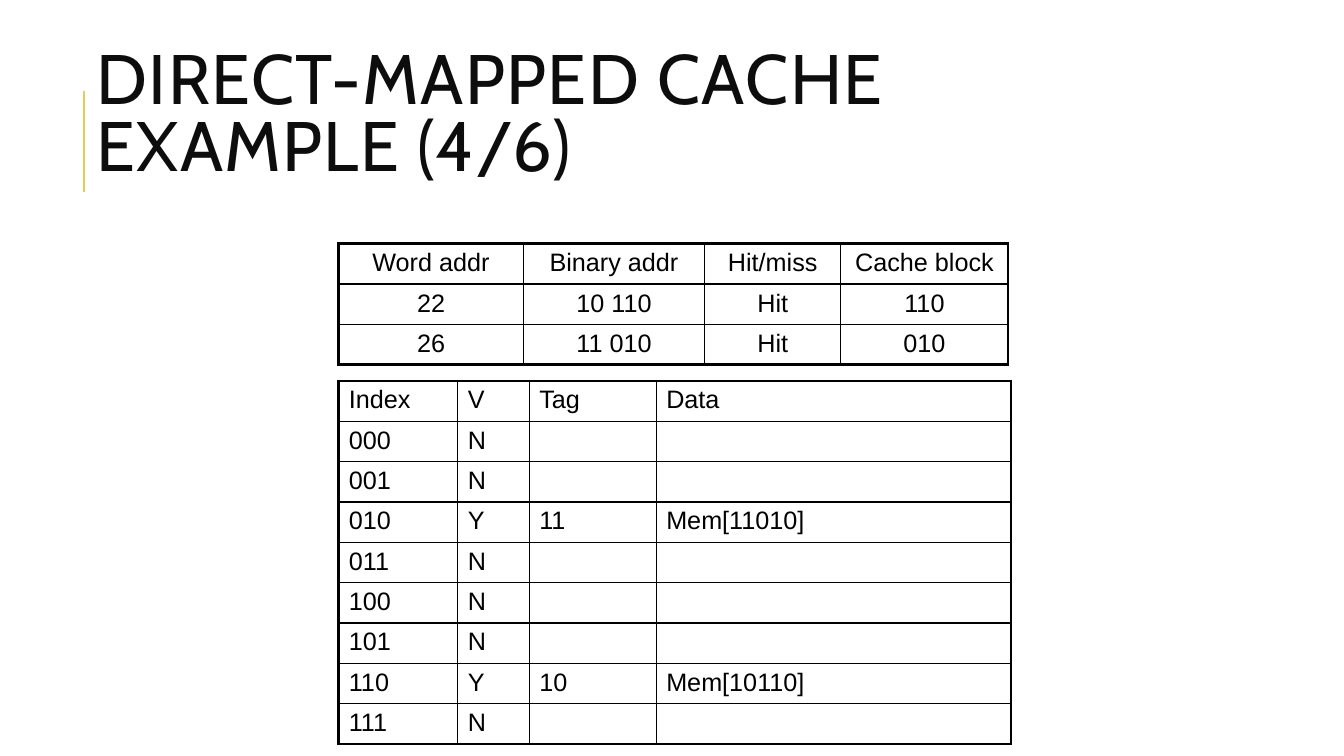
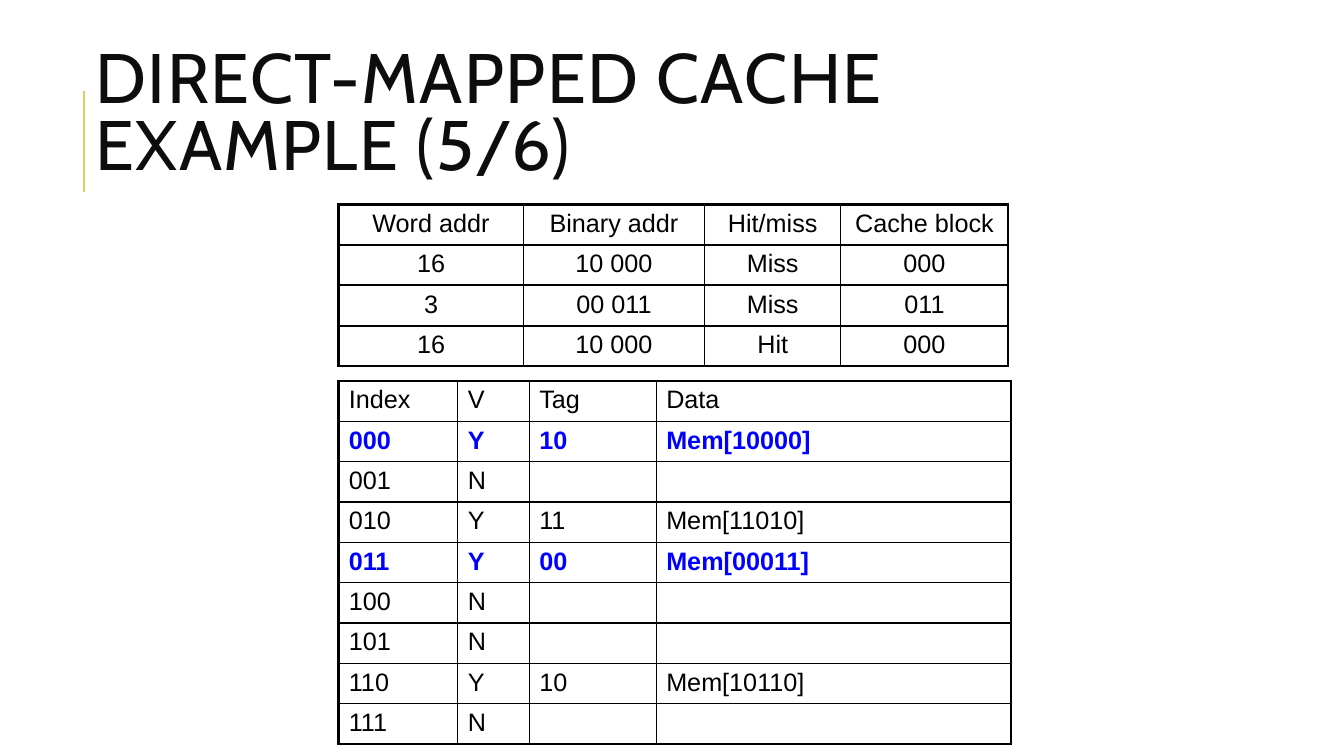
from lxml import etree
from pptx import Presentation
from pptx.dml.color import RGBColor
from pptx.enum import shapes, text
from pptx.oxml import ns
from pptx.util import Pt

COLORS = {"title": "0D0D0D", "accent": "E3CC5A", "ink": "000000", "update": "0000FF"}
OUTER, HEADER, INNER = 2.25, 1.5, 1
ROW_HEIGHT = 28.8
TABLE_LEFT = 242
CACHE_TOP = 272.2
CACHE_COLUMNS = [85, 51.1, 90.7, 253.4]
ADDRESS_COLUMNS = [131.8, 129.6, 97.2, 119.5]
CACHE_HEADER = ["Index", "V", "Tag", "Data"]
ADDRESS_HEADER = ["Word addr", "Binary addr", "Hit/miss", "Cache block"]


def rgb(name):
    """Return the palette colour called name."""
    return RGBColor.from_string(COLORS[name])


def style_run(run, font, size, color, bold=False):
    """Set the font, size, colour and weight of a run."""
    run.font.name, run.font.size, run.font.bold = font, Pt(size), bold
    run.font.color.rgb = rgb(color)


def add_title(slide, wording, box):
    """Place the slide title in box with the accent rule on its left."""
    title = slide.shapes.title
    title.left, title.top, title.width, title.height = map(Pt, box)
    frame = title.text_frame
    frame.text = wording
    frame.word_wrap = True
    frame.auto_size = text.MSO_AUTO_SIZE.NONE
    frame.vertical_anchor = text.MSO_ANCHOR.MIDDLE
    heading = frame.paragraphs[0]
    heading.alignment = text.PP_ALIGN.LEFT
    heading.line_spacing = 0.8
    run = heading.runs[0]
    style_run(run, "Cabin", 50, "title")
    run.font._element.set("spc", "100")

    accent = slide.shapes.add_connector(
        shapes.MSO_CONNECTOR.STRAIGHT, Pt(59.8), Pt(136.8), Pt(59.8), Pt(64.8))
    accent.line.color.rgb = rgb("accent")
    accent.line.width = Pt(1.5)
    etree.SubElement(accent._element.spPr, ns.qn("a:effectLst"))


def set_borders(cell, widths):
    """Draw the left, right, top and bottom borders of a cell."""
    properties = cell._tc.get_or_add_tcPr()
    for side, width in zip("LRTB", widths):
        line = etree.SubElement(properties, ns.qn(f"a:ln{side}"), w=str(Pt(width)))
        fill = etree.SubElement(line, ns.qn("a:solidFill"))
        etree.SubElement(fill, ns.qn("a:srgbClr"), val=COLORS["ink"])


def add_grid(slide, left, top, columns, rows, align, divider, updated=()):
    """Add a ruled table, with the rows listed in updated in bold blue."""
    grid = slide.shapes.add_table(
        len(rows), len(columns), Pt(left), Pt(top),
        Pt(sum(columns)), Pt(ROW_HEIGHT * len(rows))).table
    grid.first_row = grid.horz_banding = False
    for column, width in zip(grid.columns, columns):
        column.width = Pt(width)
    horizontals = [OUTER, HEADER] + [divider] * (len(rows) - 2) + [OUTER]
    verticals = [OUTER] + [INNER] * (len(columns) - 1) + [OUTER]
    for r, row in enumerate(rows):
        grid.rows[r].height = Pt(ROW_HEIGHT)
        for c, value in enumerate(row):
            cell = grid.cell(r, c)
            set_borders(cell, verticals[c:c + 2] + horizontals[r:r + 2])
            cell.fill.background()
            cell.margin_top = cell.margin_bottom = Pt(3.6 if value else 0)
            cell.text_frame.text = value
            entry = cell.text_frame.paragraphs[0]
            entry.alignment = align
            for run in entry.runs:
                style_run(run, "Arial", 18, "update" if r in updated else "ink",
                          r in updated)


def cache_rows(blocks):
    """List all eight cache lines; blocks maps a valid index to its tag."""
    indexes = [f"{number:03b}" for number in range(8)]
    return [CACHE_HEADER] + [
        [index, "Y", blocks[index], f"Mem[{blocks[index]}{index}]"]
        if index in blocks else [index, "N", "", ""] for index in indexes]


def add_cache_slide(deck, step, title_box, address_top, accesses, blocks, updated=()):
    """Build one step: title, address accesses and resulting cache state."""
    slide = deck.slides.add_slide(deck.slide_layouts[5])
    add_title(slide, f"DIRECT-MAPPED CACHE EXAMPLE ({step}/6)", title_box)
    add_grid(slide, TABLE_LEFT, CACHE_TOP, CACHE_COLUMNS, cache_rows(blocks),
             text.PP_ALIGN.LEFT, INNER, updated)
    add_grid(slide, TABLE_LEFT, address_top, ADDRESS_COLUMNS,
             [ADDRESS_HEADER] + accesses, text.PP_ALIGN.CENTER, HEADER)


def main():
    """Build and save the deck."""
    deck = Presentation()
    deck.slide_width, deck.slide_height = Pt(960), Pt(540)
    blocks = {"010": "11", "110": "10"}
    add_cache_slide(
        deck, 4, (61.9, 49, 765.4, 70.6), 174.2,
        [["22", "10 110", "Hit", "110"], ["26", "11 010", "Hit", "010"]], blocks)
    add_cache_slide(
        deck, 5, (61.2, 49, 765.4, 68.4), 146.2,
        [["16", "10 000", "Miss", "000"], ["3", "00 011", "Miss", "011"],
         ["16", "10 000", "Hit", "000"]],
        {**blocks, "000": "10", "011": "00"}, updated=(1, 4))
    deck.save("out.pptx")


main()
